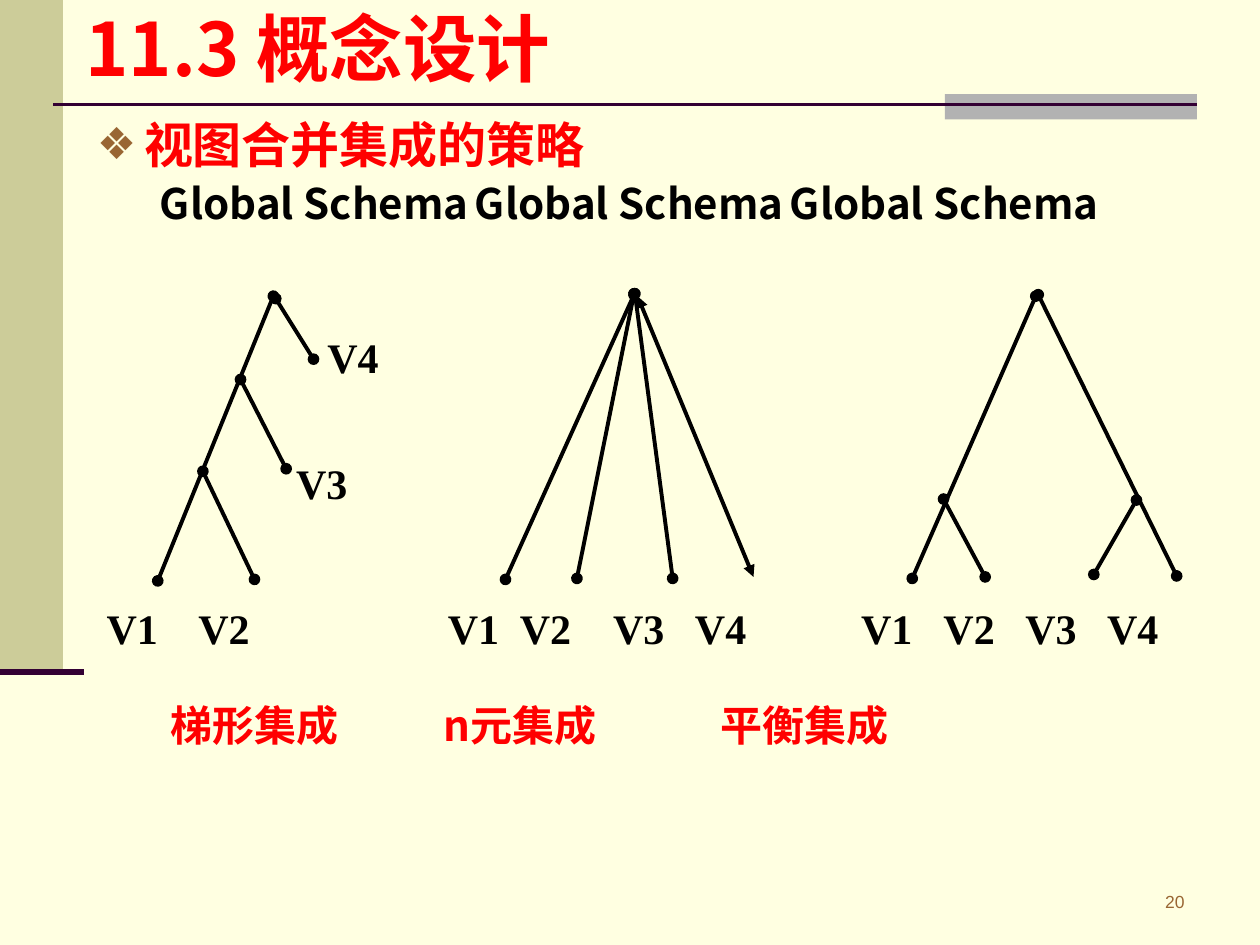
from dataclasses import dataclass

from lxml.etree import SubElement
from pptx import Presentation
from pptx.dml.color import RGBColor
from pptx.enum.shapes import MSO_CONNECTOR, MSO_SHAPE
from pptx.enum.text import MSO_ANCHOR, MSO_AUTO_SIZE, PP_ALIGN
from pptx.oxml.ns import qn
from pptx.util import Cm, Pt


@dataclass(frozen=True)
class Theme:
    paper: str = "FFFFE1"
    sidebar: str = "CCCC99"
    accent: str = "B2B2B2"
    rule: str = "330033"
    bullet: str = "996633"
    key: str = "FF0000"
    ink: str = "000000"
    sans: str = "Noto Sans CJK SC"
    serif: str = "Times New Roman"
    small: str = "Arial"
    title_size: int = 42
    head_size: int = 28
    text_size: int = 24
    page_size: int = 10


T = Theme()


def add_run(p, text, size, color, font=T.sans, bold=True, tabs=()):
    """Add a run to p, with left tab stops given in cm."""
    if tabs:
        tab_list = SubElement(p._p.get_or_add_pPr(), qn("a:tabLst"))
        for pos in tabs:
            SubElement(tab_list, qn("a:tab"), pos=str(Cm(pos)), algn="l")
    r = p.add_run()
    r.text = text
    r.font.size = Pt(size)
    r.font.bold = bold
    r.font.color.rgb = RGBColor.from_string(color)
    r.font.name = font
    SubElement(r._r.get_or_add_rPr(), qn("a:ea"), typeface=font)


def add_line(x1, y1, x2, y2, color, width, end=None):
    """Draw a line in cm; end is the arrowhead used at both ends."""
    line = s.shapes.add_connector(MSO_CONNECTOR.STRAIGHT, Cm(x1), Cm(y1), Cm(x2), Cm(y2))
    line.line.color.rgb = RGBColor.from_string(color)
    line.line.width = Pt(width)
    if end:
        ln = line.line._get_or_add_ln()
        for tag in ("a:headEnd", "a:tailEnd"):
            SubElement(ln, qn(tag), type=end)
    SubElement(line._element.spPr, qn("a:effectLst"))


prs = Presentation()
prs.slide_width, prs.slide_height = Cm(25.4), Cm(19.05)
s = prs.slides.add_slide(prs.slide_layouts[1])
s.background.fill.solid()
s.background.fill.fore_color.rgb = RGBColor.from_string(T.paper)

# Frame
for x, y, w, h, color in [(0, 0, 1.27, 13.54, T.sidebar), (19.05, 1.9, 5.08, 0.51, T.accent)]:
    sp = s.shapes.add_shape(MSO_SHAPE.RECTANGLE, Cm(x), Cm(y), Cm(w), Cm(h))
    sp.shadow.inherit = False
    sp.fill.solid()
    sp.fill.fore_color.rgb = RGBColor.from_string(color)
    sp.line.fill.background()
add_line(1.07, 2.11, 24.13, 2.11, T.rule, 1.5)
add_line(0, 13.54, 1.7, 13.54, T.rule, 3.5)

# Title and body
title, body = s.shapes.title, s.placeholders[1]
for sp, (x, y, w, h) in [(title, (1.47, 0, 21.59, 1.9)), (body, (1.7, 2.34, 22.86, 15.19))]:
    sp.left, sp.top, sp.width, sp.height = Cm(x), Cm(y), Cm(w), Cm(h)
    sp.text_frame.auto_size = MSO_AUTO_SIZE.NONE
title.text_frame.vertical_anchor = MSO_ANCHOR.MIDDLE
p = title.text_frame.paragraphs[0]
p.alignment = PP_ALIGN.LEFT
add_run(p, "11.3 概念设计", T.title_size, T.key)

tf = body.text_frame
tf.vertical_anchor = MSO_ANCHOR.TOP
p = tf.paragraphs[0]
pPr = p._p.get_or_add_pPr()
pPr.set("marL", str(Cm(0.95)))
pPr.set("indent", str(Cm(-0.95)))
SubElement(SubElement(pPr, qn("a:buClr")), qn("a:srgbClr"), val=T.bullet)
SubElement(pPr, qn("a:buSzPct"), val="90000")
SubElement(pPr, qn("a:buChar"), char="❖")
p.line_spacing = 0.87
p.space_before = Pt(0)
add_run(p, "视图合并集成的策略", T.head_size, T.key)

p = tf.add_paragraph()
pPr = p._p.get_or_add_pPr()
pPr.set("marL", "0")
pPr.set("indent", "0")
SubElement(pPr, qn("a:buNone"))
p.line_spacing = 0.87
p.space_before = Pt(6)
add_run(p, "\tGlobal Schema" * 3, T.text_size, T.ink, tabs=(0.38, 7.77, 14.76))

# Integration trees
ladder = [
    (5.51, 5.97, 3.18, 11.71), (5.56, 6.02, 6.32, 7.24),
    (4.85, 7.65, 5.77, 9.45), (4.09, 9.5, 5.13, 11.68),
]
n_ary = [
    (12.78, 5.94, 10.19, 11.68), (12.78, 5.92, 11.63, 11.66), (12.8, 5.92, 13.56, 11.66),
]
balanced = [
    (20.88, 5.97, 18.39, 11.66), (20.93, 5.94, 23.72, 11.61),
    (19.02, 10.06, 19.86, 11.63), (22.91, 10.08, 22.05, 11.58),
]
for edge in ladder + n_ary + balanced:
    add_line(*edge, T.ink, 2.25, "oval")
add_line(12.85, 5.97, 15.19, 11.63, T.ink, 2.25, "triangle")

# Labels
leaves = "V1 V2 V1 V2 V3 V4 V1 V2 V3 V4".split()
leaf_tabs = (1.85, 6.88, 8.33, 10.21, 11.86, 15.21, 16.87, 18.52, 20.17)
strategies = ["梯形集成", "n元集成", "平衡集成"]
left, right = PP_ALIGN.LEFT, PP_ALIGN.RIGHT
labels = [
    ((3.18, 13.97, 21.39, 1.27), strategies, (5.51, 11.1), T.text_size, T.key, T.sans, True, left),
    ((1.9, 11, 22.86, 3.3), leaves, leaf_tabs, T.text_size, T.ink, T.serif, True, left),
    ((5.72, 9.09, 1.55, 1.27), ["V3"], (), T.text_size, T.ink, T.serif, True, left),
    ((6.35, 6.55, 1.55, 1.27), ["V4"], (), T.text_size, T.ink, T.serif, True, left),
    ((20.9, 17.73, 3.23, 0.89), ["20"], (), T.page_size, T.bullet, T.small, False, right),
]
for box, words, tabs, size, color, font, bold, align in labels:
    tf = s.shapes.add_textbox(*map(Cm, box)).text_frame
    tf.word_wrap = True
    tf.vertical_anchor = MSO_ANCHOR.MIDDLE
    p = tf.paragraphs[0]
    p.alignment = align
    add_run(p, "\t".join(words), size, color, font, bold, tabs)

prs.save("out.pptx")
